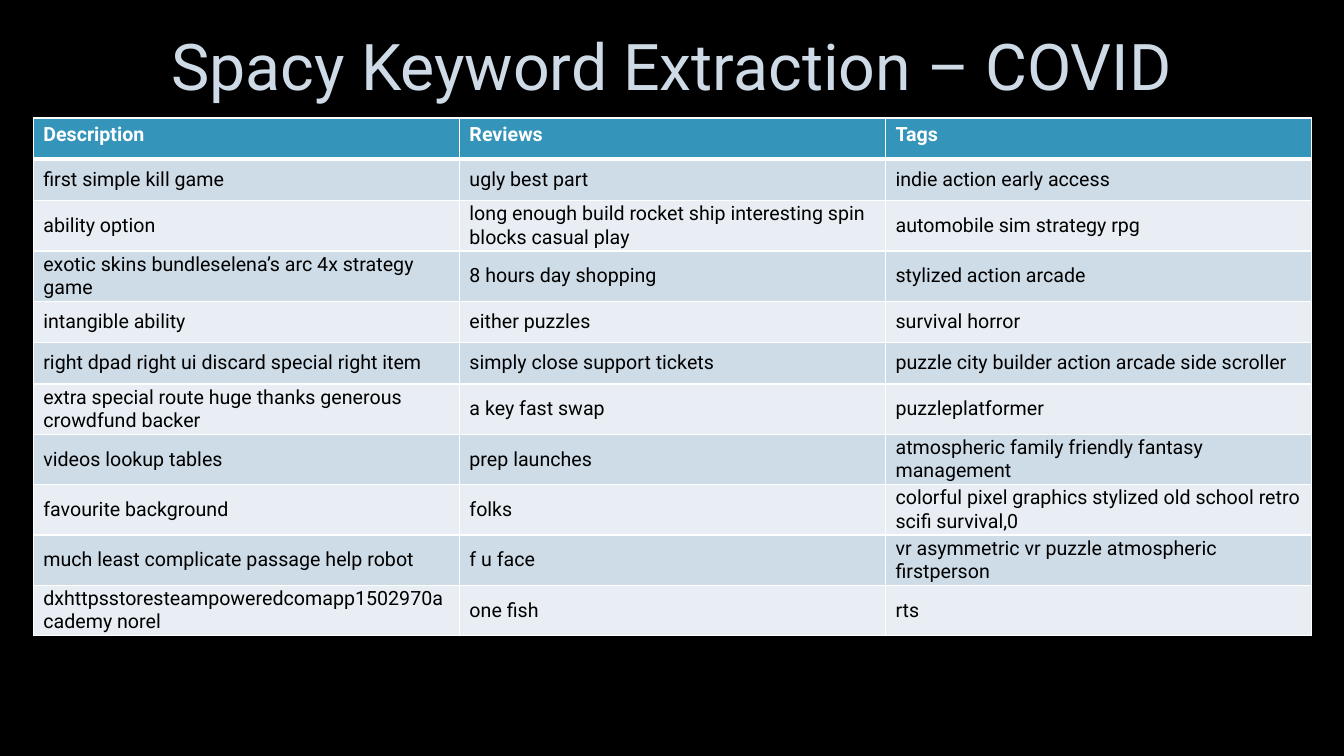
from lxml import etree
from pptx import Presentation
from pptx.dml.color import RGBColor
from pptx.enum.text import MSO_ANCHOR, PP_ALIGN
from pptx.oxml.ns import qn
from pptx.util import Inches, Pt

FONT = "Roboto"
COLORS = {
    "background": "000000",
    "title": "CEDBE6",
    "header": "3494BA",
    "header_text": "FFFFFF",
    "body_text": "000000",
    "odd_row": "CEDCE7",
    "even_row": "E8EEF3",
    "border": "FFFFFF",
}
ROW_HEIGHT = 0.41
TABLE_WIDTH = 12.68

KEYWORDS = [
    ("Description", "Reviews", "Tags"),
    ("first simple kill game", "ugly best part", "indie action early access"),
    ("ability option",
     "long enough build rocket ship interesting spin blocks casual play",
     "automobile sim strategy rpg"),
    ("exotic skins bundleselena’s arc 4x strategy game",
     "8 hours day shopping", "stylized action arcade"),
    ("intangible ability", "either puzzles", "survival horror"),
    ("right dpad right ui discard special right item",
     "simply close support tickets",
     "puzzle city builder action arcade side scroller"),
    ("extra special route huge thanks generous crowdfund backer",
     "a key fast swap", "puzzleplatformer"),
    ("videos lookup tables", "prep launches",
     "atmospheric family friendly fantasy management"),
    ("favourite background", "folks",
     "colorful pixel graphics stylized old school retro scifi survival,0"),
    ("much least complicate passage help robot", "f u face",
     "vr asymmetric vr puzzle atmospheric firstperson"),
    ("dxhttpsstoresteampoweredcomapp1502970academy norel", "one fish", "rts"),
]


def color(name):
    return RGBColor.from_string(COLORS[name])


def set_font(p, size, color_name, bold=False):
    p.font.name = FONT
    p.font.size = Pt(size)
    p.font.bold = bold
    p.font.color.rgb = color(color_name)


def set_borders(cell, top=1, bottom=1):
    tcPr = cell._tc.get_or_add_tcPr()
    for side, width in (("L", 1), ("R", 1), ("T", top), ("B", bottom)):
        ln = etree.SubElement(tcPr, qn(f"a:ln{side}"), w=str(Pt(width)))
        fill = etree.SubElement(ln, qn("a:solidFill"))
        etree.SubElement(fill, qn("a:srgbClr"), val=COLORS["border"])


def add_title(s, text):
    title = s.shapes.title
    title.left, title.top = Inches(1), Inches(0)
    title.width, title.height = Inches(11.32), Inches(1.38)
    tf = title.text_frame
    tf.text = text
    tf.word_wrap = True
    tf.vertical_anchor = MSO_ANCHOR.MIDDLE
    p = tf.paragraphs[0]
    p.alignment = PP_ALIGN.CENTER
    p.line_spacing = 0.9
    set_font(p, 46, "title")


def format_header(cell):
    set_borders(cell, bottom=3)
    cell.fill.solid()
    cell.fill.fore_color.rgb = color("header")
    set_font(cell.text_frame.paragraphs[0], 14, "header_text", bold=True)


def format_body(cell, row):
    set_borders(cell, top=3 if row == 1 else 1)
    cell.fill.solid()
    cell.fill.fore_color.rgb = color("odd_row" if row % 2 else "even_row")
    cell.vertical_anchor = MSO_ANCHOR.MIDDLE
    cell.margin_top = cell.margin_bottom = Inches(0.02)
    set_font(cell.text_frame.paragraphs[0], 14, "body_text")


def add_keyword_table(s, rows):
    columns = len(rows[0])
    table = s.shapes.add_table(
        len(rows), columns, Inches(0.33), Inches(1.17),
        Inches(TABLE_WIDTH), Inches(ROW_HEIGHT * len(rows))).table
    table.horz_banding = False
    for column in table.columns:
        column.width = Inches(TABLE_WIDTH / columns)
    for i, texts in enumerate(rows):
        table.rows[i].height = Inches(ROW_HEIGHT)
        for j, text in enumerate(texts):
            cell = table.cell(i, j)
            cell.text = text
            if i == 0:
                format_header(cell)
            else:
                format_body(cell, i)


def main():
    prs = Presentation()
    prs.slide_width, prs.slide_height = Inches(13.33), Inches(7.5)
    s = prs.slides.add_slide(prs.slide_layouts[5])

    # Black background
    s.background.fill.solid()
    s.background.fill.fore_color.rgb = color("background")

    # Title and table
    add_title(s, "Spacy Keyword Extraction – COVID")
    add_keyword_table(s, KEYWORDS)

    prs.save("out.pptx")


if __name__ == "__main__":
    main()
